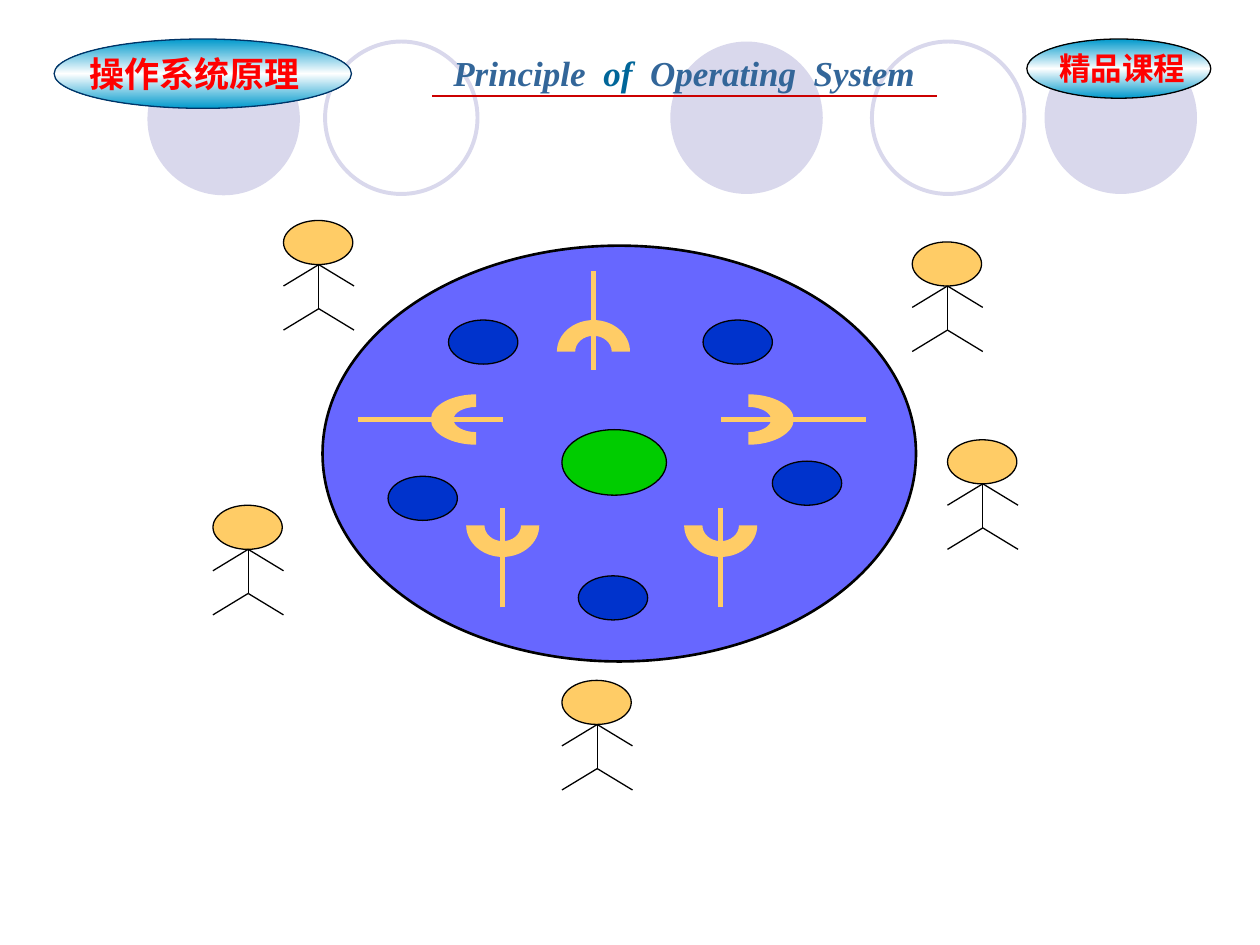
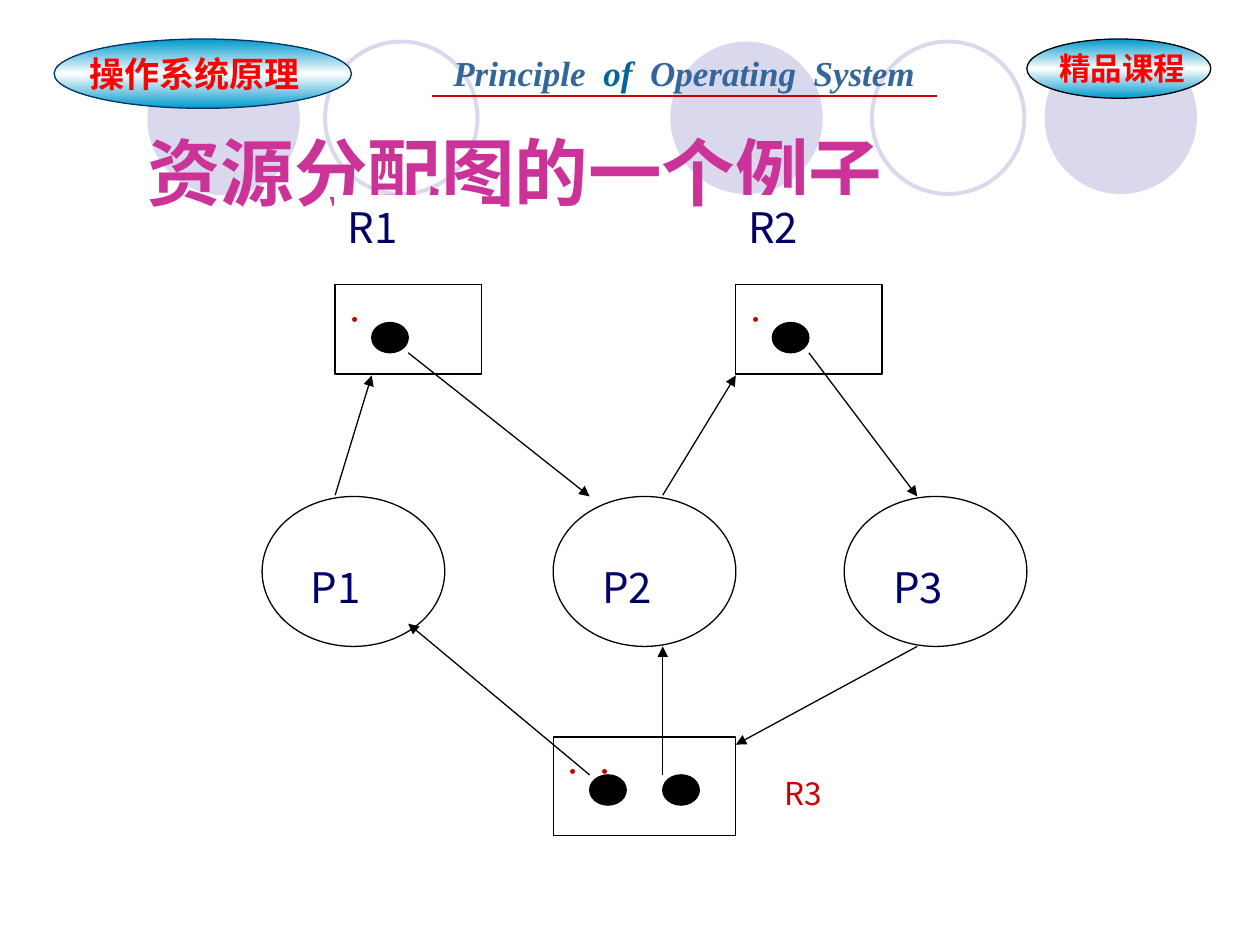
from copy import deepcopy
from math import cos, pi, sin

from lxml.etree import SubElement
from pptx import Presentation
from pptx.dml.color import RGBColor
from pptx.enum.shapes import MSO_CONNECTOR, MSO_SHAPE as Kind
from pptx.enum.text import MSO_ANCHOR as Anchor, MSO_AUTO_SIZE as AutoSize, PP_ALIGN as Align
from pptx.oxml.ns import qn
from pptx.util import Inches, Pt

COLOURS = {
    "black": "000000", "white": "FFFFFF", "lilac": "D9D8EC", "cyan": "0099CC",
    "navy": "003366", "red": "FF0000", "dark red": "CC0000", "steel": "336699",
    "teal": "006699", "magenta": "CC3399", "ink": "000066", "table": "6767FF",
    "plate": "0033CC", "sand": "FFCC66", "green": "00CC00",
}
RGB = {name: RGBColor.from_string(value) for name, value in COLOURS.items()}
CJK = "Noto Sans CJK JP"
THIN = 0.75

# Font formats, one per role
BADGE = {"size": Pt(20), "name": "Times New Roman", "bold": True}
COURSE = {"size": Pt(20), "name": "Times New Roman", "bold": True, "italic": True}
AWARD = {"size": Pt(18), "name": "Arial", "bold": True}
TITLE = {"size": Pt(42), "name": "Arial", "bold": True}
LABEL = {"size": Pt(24), "name": CJK}
SMALL = {"size": Pt(18), "name": CJK}


def draw(page, kind, at, fill=None, line=None, weight=THIN):
    """Add a preset shape, or an outline if kind is a list of points."""
    if isinstance(kind, list):
        points = [(Inches(x), Inches(y)) for x, y in kind]
        builder = page.shapes.build_freeform(*points[0])
        builder.add_line_segments(points[1:], close=True)
        shape = builder.convert_to_shape()
    else:
        shape = page.shapes.add_shape(kind, *map(Inches, at))
    shape.shadow.inherit = False
    if fill:
        shape.fill.solid()
        shape.fill.fore_color.rgb = RGB[fill]
    else:
        shape.fill.background()
    if line:
        shape.line.color.rgb = RGB[line]
        shape.line.width = Pt(weight)
    else:
        shape.line.fill.background()
    return shape


def connect(page, start, end, colour="black", weight=THIN, arrow=False):
    """Add a straight line, with an arrowhead at its end if asked."""
    ends = [Inches(value) for value in (*start, *end)]
    connector = page.shapes.add_connector(MSO_CONNECTOR.STRAIGHT, *ends)
    connector.line.color.rgb = RGB[colour]
    connector.line.width = Pt(weight)
    properties = connector._element.spPr
    if arrow:
        SubElement(properties.find(qn("a:ln")), qn("a:tailEnd"), type="triangle")
    SubElement(properties, qn("a:effectLst"))


deck = Presentation()
deck.slide_width, deck.slide_height = Inches(10), Inches(7.5)
pages = [deck.slides.add_slide(deck.slide_layouts[6]) for _ in range(2)]
dining, graph = pages
texts = []  # (box, frame settings, alignment, font format, [(words, colour)])

# Shared header
for page in pages:
    for left, top in ((5.32, 0.33), (8.29, 0.33), (1.17, 0.34)):
        draw(page, Kind.OVAL, (left, top, 1.21, 1.21), "lilac")
    for left in (6.92, 2.58):
        draw(page, Kind.OVAL, (left, 0.33, 1.21, 1.21), None, "lilac", 2.25)
    for at, line in (((0.43, 0.31, 2.36, 0.55), "navy"), ((8.15, 0.31, 1.46, 0.47), "black")):
        badge = draw(page, Kind.OVAL, at, None, line)
        badge.fill.gradient()
        badge.fill.gradient_angle = 90
        stop_list = badge._element.spPr.find(".//" + qn("a:gsLst"))
        stop_list.append(deepcopy(stop_list[0]))
        for stop, position, colour in zip(
                badge.fill.gradient_stops, (0, 0.5, 1), ("cyan", "white", "cyan")):
            stop.position = position
            stop.color.rgb = RGB[colour]
    connect(page, (3.43, 0.76), (7.44, 0.76), "dark red", 1)
    for at, font, spans in (
        ((0.61, 0.37, 1.87, 0.44), BADGE, [("操作系统原理", "red")]),
        ((3.5, 0.36, 3.93, 0.44), COURSE,
         [("Principle  ", "steel"), ("of  ", "teal"), ("Operating  System ", "steel")]),
        ((8.31, 0.34, 1.38, 0.4), AWARD, [("精品课程", "red")]),
    ):
        box = page.shapes.add_textbox(*map(Inches, at))
        frame = {"word_wrap": font is AWARD, "auto_size": AutoSize.SHAPE_TO_FIT_TEXT}
        texts.append((box, frame, Align.LEFT, font, spans))

# Dining philosophers: the table and its plates
draw(dining, Kind.OVAL, (2.56, 1.95, 4.71, 3.3), "table", "black", 1.5)
for left, top in ((3.56, 2.54), (5.58, 2.54), (6.13, 3.66), (4.59, 4.57), (3.08, 3.78)):
    draw(dining, Kind.OVAL, (left, top, 0.55, 0.35), "plate", "black")

# Philosophers: head, body in two parts, then legs and arms
for left, top in ((7.24, 1.92), (7.52, 3.49), (4.46, 5.4), (2.25, 1.75), (1.69, 4.01)):
    draw(dining, Kind.OVAL, (left, top, 0.55, 0.35), "sand", "black")
    middle = left + 0.28
    neck, chest, hip = top + 0.35, top + 0.52, top + 0.7
    connect(dining, (middle, neck), (middle, chest))
    connect(dining, (middle, chest), (middle, hip))
    for joint in (hip, neck):
        for side in (-0.28, 0.28):
            connect(dining, (middle, joint), (middle + side, joint + 0.17))

draw(dining, Kind.OVAL, (4.46, 3.41, 0.83, 0.52), "green", "black")

# Forks: a handle and a half ring of quarter curves that starts at a given angle
PULL = 0.55  # control point distance of a quarter circle of radius 1
for start, end, (x, y), (rx, ry), turn in (
    ((4.71, 2.15), (4.71, 2.94), (4.71, 2.79), (0.29, 0.25), pi),
    ((2.84, 3.33), (3.99, 3.33), (3.78, 3.33), (0.36, 0.2), pi / 2),
    ((6.87, 3.33), (5.72, 3.33), (5.94, 3.33), (0.36, 0.2), -pi / 2),
    ((5.72, 4.82), (5.72, 4.03), (5.72, 4.17), (0.29, 0.25), 0),
    ((3.99, 4.82), (3.99, 4.03), (3.99, 4.17), (0.29, 0.25), 0),
):
    connect(dining, start, end, "sand", 3)
    c, s = cos(turn), sin(turn)
    arc = [(1, 0), (1, PULL), (PULL, 1), (0, 1), (-PULL, 1), (-1, PULL), (-1, 0)]
    outer = [(x + rx * (u * c - v * s), y + ry * (u * s + v * c)) for u, v in arc]
    inner = [((x + px) / 2, (y + py) / 2) for px, py in reversed(outer)]
    prongs = draw(dining, outer + inner, None, "sand")
    lines = list(prongs._element.iter(qn("a:lnTo")))
    for first in (0, 3, 7, 10):
        curve = lines[first]
        curve.tag = qn("a:cubicBezTo")
        for extra in lines[first + 1:first + 3]:
            curve.append(extra[0])
            extra.getparent().remove(extra)

# Resource allocation graph: title, resources and processes
title = graph.shapes.add_textbox(*map(Inches, (1.07, 1.01, 8.5, 1.25)))
texts.append((title, {"word_wrap": True, "margin_top": 0, "margin_bottom": 0},
              Align.LEFT, TITLE, [("资源分配图的一个例子", "magenta")]))

TOP = {"word_wrap": True, "vertical_anchor": Anchor.TOP}
for left, name in ((2.66, "R1"), (5.84, "R2")):
    label = draw(graph, Kind.RECTANGLE, (left, 1.55, 1.16, 0.48), "white", "white")
    texts.append((label, TOP, Align.LEFT, LABEL, [(name, "ink")]))
for at, dots in (
    ((2.66, 2.26, 1.16, 0.71), "．"),
    ((4.39, 5.85, 1.45, 0.78), "．．"),
    ((5.84, 2.26, 1.16, 0.71), "．"),
):
    resource = draw(graph, Kind.RECTANGLE, at, "white", "black")
    texts.append((resource, TOP, Align.JUSTIFY, SMALL, [(dots, "dark red")]))
for index in range(3):
    left = 2.08 + 2.31 * index
    draw(graph, Kind.OVAL, (left, 3.94, 1.45, 1.19), "white", "black")
    label = draw(graph, Kind.RECTANGLE, (left + 0.29, 4.41, 0.87, 0.48), "white", "white")
    texts.append((label, TOP, Align.LEFT, LABEL, [(f"P{index + 1}", "ink")]))

# Requests and assignments
for start, end in (
    ((2.66, 3.93), (2.95, 2.98)),
    ((3.24, 2.8), (4.68, 3.94)),
    ((5.26, 3.93), (5.84, 2.98)),
    ((6.42, 2.8), (7.28, 3.94)),
    ((4.68, 6.15), (3.24, 4.95)),
    ((5.26, 6.15), (5.26, 5.13)),
    ((7.28, 5.13), (5.84, 5.91)),
):
    connect(graph, start, end, arrow=True)

label = draw(graph, Kind.RECTANGLE, (6.13, 6.09, 1.16, 0.48), "white", "white")
texts.append((label, TOP, Align.LEFT, SMALL, [("R3", "dark red")]))
for left, top in ((2.95, 2.56), (6.13, 2.56), (4.68, 6.15), (5.26, 6.15)):
    draw(graph, Kind.OVAL, (left, top, 0.29, 0.24), "black", "black")

# All words
for box, frame, alignment, font, spans in texts:
    for name, value in frame.items():
        setattr(box.text_frame, name, value)
    para = box.text_frame.paragraphs[0]
    para.alignment = alignment
    for words, colour in spans:
        span = para.add_run()
        span.text = words
        for name, value in font.items():
            setattr(span.font, name, value)
        span.font.color.rgb = RGB[colour]
        SubElement(span._r.get_or_add_rPr(), qn("a:ea"), typeface=CJK)

deck.save("out.pptx")
